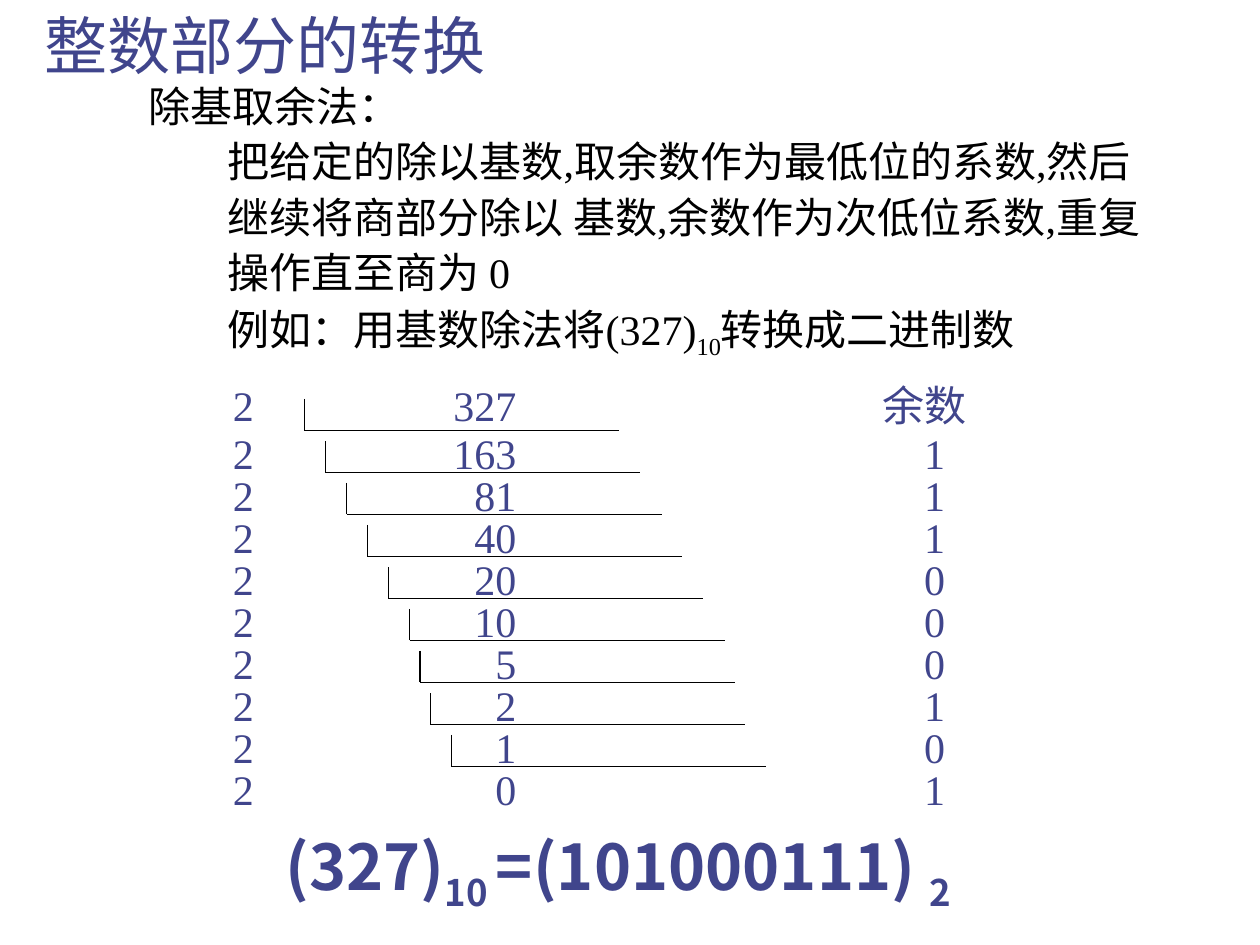
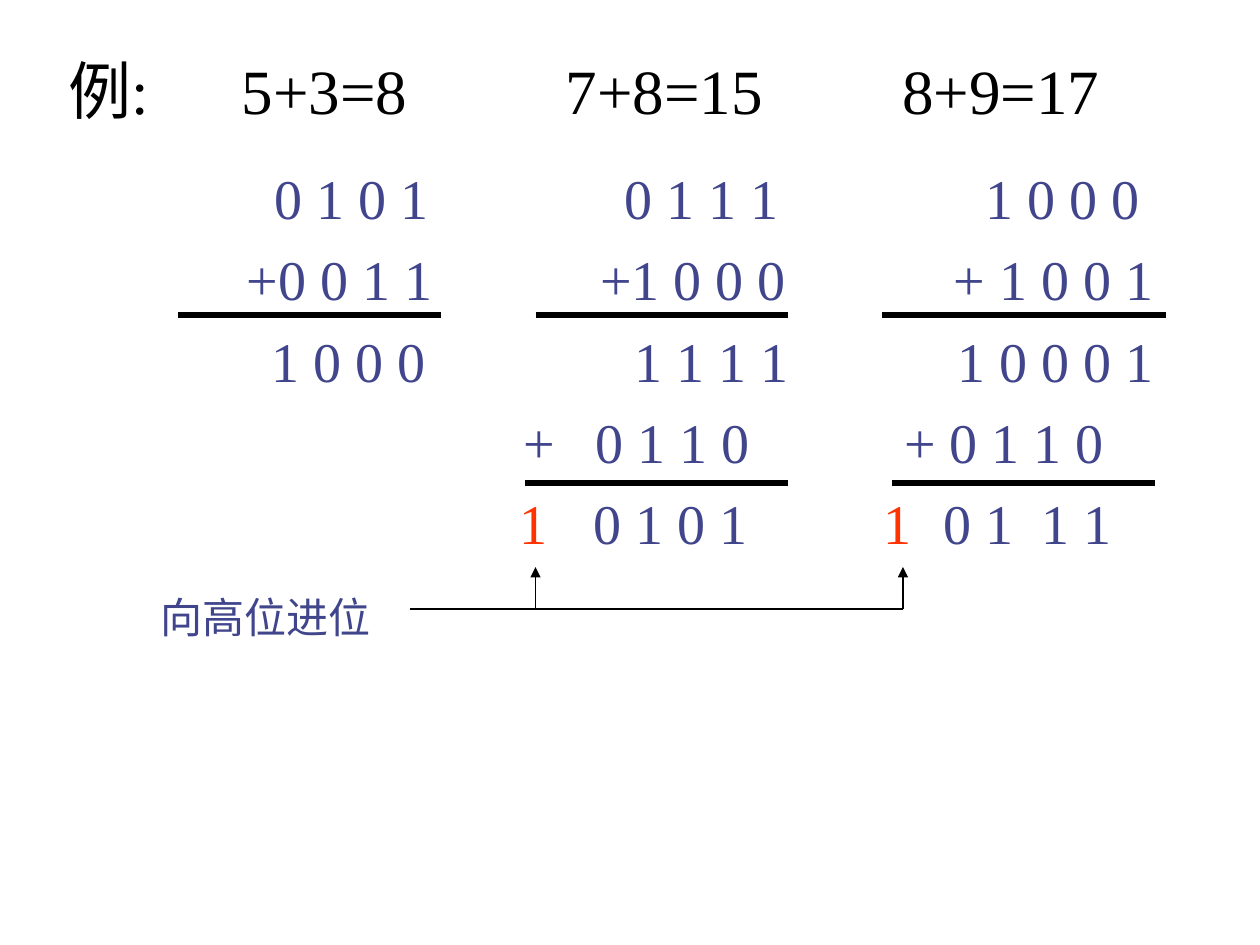
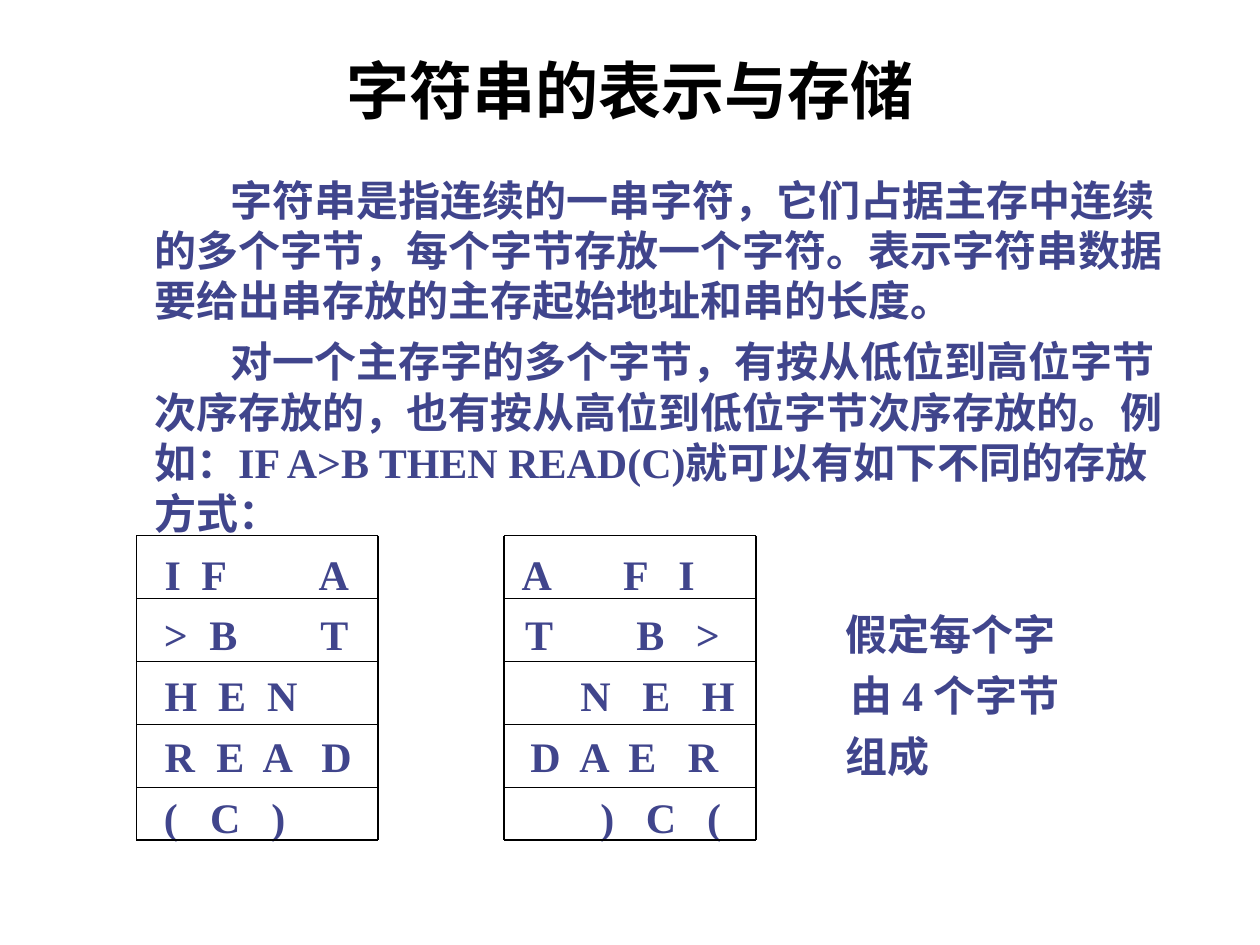
from lxml.etree import SubElement
from pptx import Presentation
from pptx.dml.color import RGBColor
from pptx.enum.shapes import MSO_CONNECTOR, MSO_SHAPE
from pptx.enum.text import MSO_ANCHOR, MSO_AUTO_SIZE, PP_ALIGN
from pptx.oxml.ns import qn
from pptx.util import Pt

COLORS = {"navy": "40458C", "black": "000000", "red": "FF3300", "white": "FFFFFF"}
SERIF, SANS = "Times New Roman", "Noto Sans CJK SC"
TITLE_SIZE, BODY_SIZE, SUM_SIZE = 36, 24, 32


def write_text(frame, runs, size=BODY_SIZE, color="navy", bold=False, font=SERIF,
               leading=1.2, before=0, left=0, first=0, stops=(),
               align=PP_ALIGN.LEFT, anchor=MSO_ANCHOR.TOP):
    """Add one paragraph; runs are (text, color or None, baseline) or plain text."""
    paragraph = frame.add_paragraph() if frame.text else frame.paragraphs[0]
    frame.word_wrap = True
    frame.auto_size = MSO_AUTO_SIZE.NONE
    frame.vertical_anchor = anchor
    paragraph.alignment = align
    paragraph.line_spacing = Pt(round(size * leading, 1))
    paragraph.space_before = Pt(before)
    properties = paragraph._p.get_or_add_pPr()
    # An explicit indent would cancel the tab stops
    if left:
        properties.set("marL", str(Pt(left)))
        properties.set("indent", str(Pt(first)))
    if stops:
        tab_list = SubElement(properties, qn("a:tabLst"))
        for stop, kind in stops:
            SubElement(tab_list, qn("a:tab"), pos=str(Pt(stop)), algn=kind)
    for item in [runs] if isinstance(runs, str) else runs:
        text, run_color, baseline = (item, None, 0) if isinstance(item, str) else item
        run = paragraph.add_run()
        run.text = text
        run.font.size = Pt(size)
        run.font.bold = bold
        run.font.name = font
        run.font.color.rgb = RGBColor.from_string(COLORS[run_color or color])
        run_properties = run._r.get_or_add_rPr()
        SubElement(run_properties, qn("a:ea"), typeface=SANS)
        if baseline:
            run_properties.set("baseline", str(baseline * 1000))


def add_line(slide, x1, y1, x2, y2, width=0.75, arrow=False):
    line = slide.shapes.add_connector(MSO_CONNECTOR.STRAIGHT, Pt(x1), Pt(y1), Pt(x2), Pt(y2))
    line.line.color.rgb = RGBColor.from_string(COLORS["black"])
    line.line.width = Pt(width)
    if arrow:
        SubElement(line.line._get_or_add_ln(), qn("a:tailEnd"), type="triangle")
    SubElement(line._element.spPr, qn("a:effectLst"))


presentation = Presentation()
presentation.slide_width, presentation.slide_height = Pt(720), Pt(540)

# Slides and their titles: place, runs, format
titles = [
    ((18, 0, 355, 50), "整数部分的转换", {}),
    ((32, 28, 628, 48), "例:\t5+3=8\t7+8=15\t8+9=17",
     {"color": "black", "anchor": MSO_ANCHOR.BOTTOM,
      "stops": [(99, "l"), (284, "l"), (476.5, "l")]}),
    ((54, 12, 612, 78), "字符串的表示与存储",
     {"color": "black", "bold": True, "anchor": MSO_ANCHOR.MIDDLE,
      "align": PP_ALIGN.CENTER}),
]
slides = []
for place, text, style in titles:
    slide = presentation.slides.add_slide(presentation.slide_layouts[5])
    title = slide.shapes.title
    title.left, title.top, title.width, title.height = map(Pt, place)
    write_text(title.text_frame, text, TITLE_SIZE, **style)
    slides.append(slide)
division_slide, addition_slide, string_slide = slides

# Slide 1: method
method = division_slide.shapes.add_textbox(Pt(78), Pt(39.5), Pt(582), Pt(170)).text_frame
write_text(method, "除基取余法：", color="black", leading=1.32)
for runs, before in [
    ("把给定的除以基数,取余数作为最低位的系数,然后继续将商部分除以 基数,余数作为次低位系数,重复操作直至商为 0", 0),
    (["例如：用基数除法将(327)", ("10", None, -25), "转换成二进制数"], 4.5),
]:
    write_text(method, runs, color="black", leading=1.32, left=45, before=before)

# Slide 1: division rows and result, each in a white band
quotients = [327, 163, 81, 40, 20, 10, 5, 2, 1, 0]
remainders = ["余数", 1, 1, 1, 0, 0, 0, 1, 0, 1]
bands = []
for index, (quotient, remainder) in enumerate(zip(quotients, remainders)):
    place = (126, 246.5 + 24 * (index - 1), 492, 24) if index else (126, 210, 498, 42)
    stops = [(162, "r"), (401 if index else 395, "ctr")]
    bands.append((place, f"2\t{quotient}\t{remainder}", {"stops": stops}))
result = ["(327)", ("10 ", None, -25), "=(101000111) ", ("2", None, -25)]
bands.append(((156, 476.5, 426, 48), result,
              {"size": TITLE_SIZE, "bold": True, "font": SANS}))
for place, runs, style in bands:
    band = division_slide.shapes.add_shape(MSO_SHAPE.RECTANGLE, *map(Pt, place))
    band.shadow.inherit = False
    band.fill.solid()
    band.fill.fore_color.rgb = RGBColor.from_string(COLORS["white"])
    band.line.color.rgb = RGBColor.from_string(COLORS["white"])
    band.line.width = Pt(0.75)
    write_text(band.text_frame, runs, anchor=MSO_ANCHOR.MIDDLE, **style)

# Slide 1: division brackets
for index, x in enumerate([174, 186, 198, 210, 222, 234, 240, 246, 258]):
    y = 246 + 24 * index
    add_line(division_slide, x, y - 18, x, y)
    add_line(division_slide, x, y, x + 180, y)

# Slide 2: sums, one tab stop for each group of digits
sums = addition_slide.shapes.add_textbox(Pt(36), Pt(90), Pt(644), Pt(408)).text_frame
sum_rows = [
    ("\t0 1 0 1\t0 1 1 1\t1 0 0 0", (114, 314, 520)),
    ("\t+0 0 1 1\t+1 0 0 0\t+ 1 0 0 1", (98, 300, 502)),
    ("\t1 0 0 0\t1 1 1 1\t1 0 0 0 1", (112, 319.5, 504)),
    ("\t+\t0 1 1 0\t+ 0 1 1 0", (256, 297, 473.5)),
    ([("\t1", "red", 0), "\t0 1 0 1", ("\t1", "red", 0), "\t0 1\t1 1"],
     (253.5, 296, 461.5, 496, 552)),
]
for index, (runs, stops) in enumerate(sum_rows):
    write_text(sums, runs, SUM_SIZE, before=8 if index else 0,
               stops=[(stop, "l") for stop in stops])
write_text(sums, "向高位进位", leading=1.8, before=6, left=48.5)

# Slide 2: sum rules and carry arrows
for x1, x2, y in [(102, 252, 180), (306, 450, 180), (300, 450, 276),
                  (504, 666, 180), (510, 660, 276)]:
    add_line(addition_slide, x1, y, x2, y, width=3)
for x in (306, 516):
    add_line(addition_slide, x, 348, x, 324, arrow=True)
add_line(addition_slide, 234, 348, 516, 348)

# Slide 3: explanation
body = string_slide.shapes.add_textbox(Pt(54), Pt(96), Pt(630), Pt(402)).text_frame
body_texts = [
    "字符串是指连续的一串字符，它们占据主存中连续的多个字节，每个字节存放一个字符。表示字符串数据要给出串存放的主存起始地址和串的长度。",
    "对一个主存字的多个字节，有按从低位到高位字节次序存放的，也有按从高位到低位字节次序存放的。例如：IF A>B THEN READ(C)就可以有如下不同的存放方式：",
]
for index, text in enumerate(body_texts):
    write_text(body, text, bold=True, left=27, first=43.5, before=6 if index else 0)

# Slide 3: each word of memory in both byte orders, with the side note
memory_rows = [
    (["I", "F", "A", "A", "F", "I"], (33, 54, 121, 237, 295, 326.5)),
    ([">", "B", "T", "T", "B", ">", "假定每个字"], (32.5, 58.5, 122, 239, 302.5, 336.5, 422)),
    (["H", "E", "N", "N", "E", "H", "由 4 个字节"], (33, 63.5, 91.5, 270.5, 306, 340, 425)),
    (["R", "E", "A", "D", "D", "A", "E", "R", "组成"],
     (33, 62.5, 89, 122.5, 242, 270, 298, 332, 422)),
    (["(", "C", ")", ")", "C", "("], (32.5, 59, 94, 282, 308, 343)),
]
for pieces, stops in memory_rows:
    write_text(body, "\t" + "\t".join(pieces), bold=True, before=6,
               stops=[(stop, "l") for stop in stops])

# Slide 3: memory frames
row_edges = [306 + 36 * row for row in range(5)] + [480]
for left, right in [(78, 216), (288, 432)]:
    for y in row_edges:
        add_line(string_slide, left, y, right, y)
    for x in (left, right):
        add_line(string_slide, x, row_edges[0], x, row_edges[-1])

presentation.save("out.pptx")
